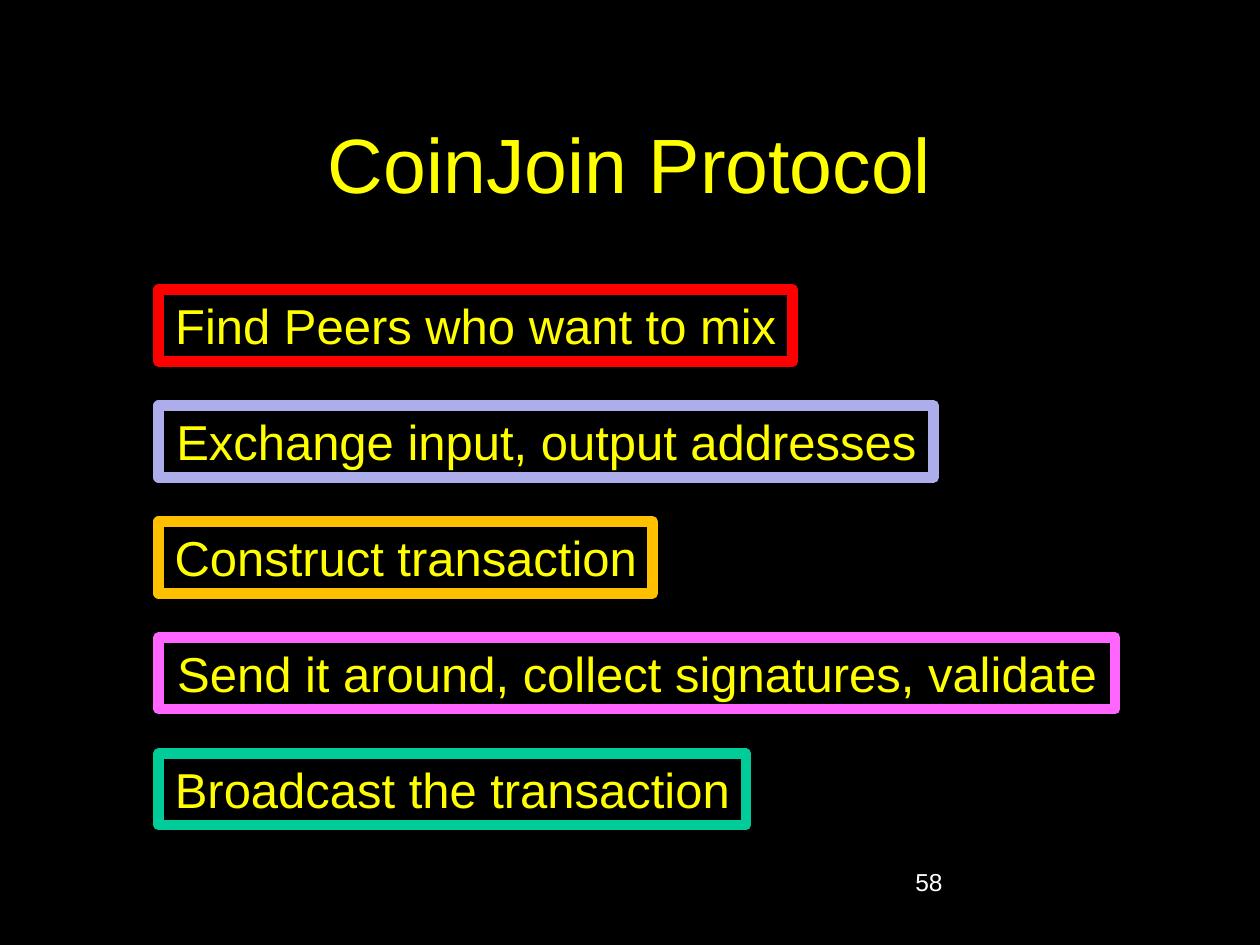
from dataclasses import dataclass

from pptx import Presentation
from pptx.dml.color import RGBColor
from pptx.enum.shapes import MSO_SHAPE
from pptx.enum.text import MSO_ANCHOR, MSO_AUTO_SIZE, PP_ALIGN
from pptx.util import Pt


@dataclass(frozen=True)
class Theme:
    font: str = "Arial"
    background: str = "000000"
    accent: str = "FFFF00"
    number: str = "FFFFFF"
    title_size: int = 44
    step_size: int = 28
    number_size: int = 14
    border: int = 6


THEME = Theme()

# Protocol steps in order: wording, box width, border colour
STEPS = [
    ("Find Peers who want to mix", 362.2, "FF0000"),
    ("Exchange input, output addresses", 442.8, "ADADEB"),
    ("Construct transaction", 282.2, "FFC000"),
    ("Send it around, collect signatures, validate", 546.5, "FF66FF"),
    ("Broadcast the transaction", 335.5, "00CC99"),
]
STEP_LEFT, STEP_TOP, STEP_HEIGHT, STEP_PITCH = 90.7, 165.6, 41, 66.24


def write(frame, text, size, color, align):
    paragraph = frame.paragraphs[0]
    paragraph.alignment = align
    run = paragraph.add_run()
    run.text = text
    run.font.name = THEME.font
    run.font.size = Pt(size)
    run.font.color.rgb = RGBColor.from_string(color)


def add_title(slide, text):
    title = slide.shapes.title
    title.left, title.top = Pt(54), Pt(48)
    title.width, title.height = Pt(612), Pt(90)
    title.text_frame.vertical_anchor = MSO_ANCHOR.MIDDLE
    write(title.text_frame, text, THEME.title_size, THEME.accent, PP_ALIGN.CENTER)


def add_step(slide, top, text, width, border_color):
    step = slide.shapes.add_shape(
        MSO_SHAPE.RECTANGLE, Pt(STEP_LEFT), Pt(top), Pt(width), Pt(STEP_HEIGHT))
    step.shadow.inherit = False
    step.fill.solid()
    step.fill.fore_color.rgb = RGBColor.from_string(THEME.background)
    step.line.color.rgb = RGBColor.from_string(border_color)
    step.line.width = Pt(THEME.border)
    frame = step.text_frame
    frame.word_wrap = False
    frame.auto_size = MSO_AUTO_SIZE.SHAPE_TO_FIT_TEXT
    frame.vertical_anchor = MSO_ANCHOR.TOP
    write(frame, text, THEME.step_size, THEME.accent, PP_ALIGN.CENTER)


def add_page_number(slide, number):
    page = slide.shapes.add_textbox(Pt(516), Pt(492), Pt(150), Pt(36))
    page.text_frame.word_wrap = True
    write(page.text_frame, number, THEME.number_size, THEME.number, PP_ALIGN.LEFT)


def main():
    deck = Presentation()
    deck.slide_width, deck.slide_height = Pt(720), Pt(540)
    slide = deck.slides.add_slide(deck.slide_layouts[5])
    slide.background.fill.solid()
    slide.background.fill.fore_color.rgb = RGBColor.from_string(THEME.background)

    # Heading and page number
    add_title(slide, "CoinJoin Protocol")
    add_page_number(slide, "58")

    # Evenly spaced protocol steps
    for index, (text, width, border_color) in enumerate(STEPS):
        add_step(slide, STEP_TOP + index * STEP_PITCH, text, width, border_color)

    deck.save("out.pptx")


if __name__ == "__main__":
    main()
